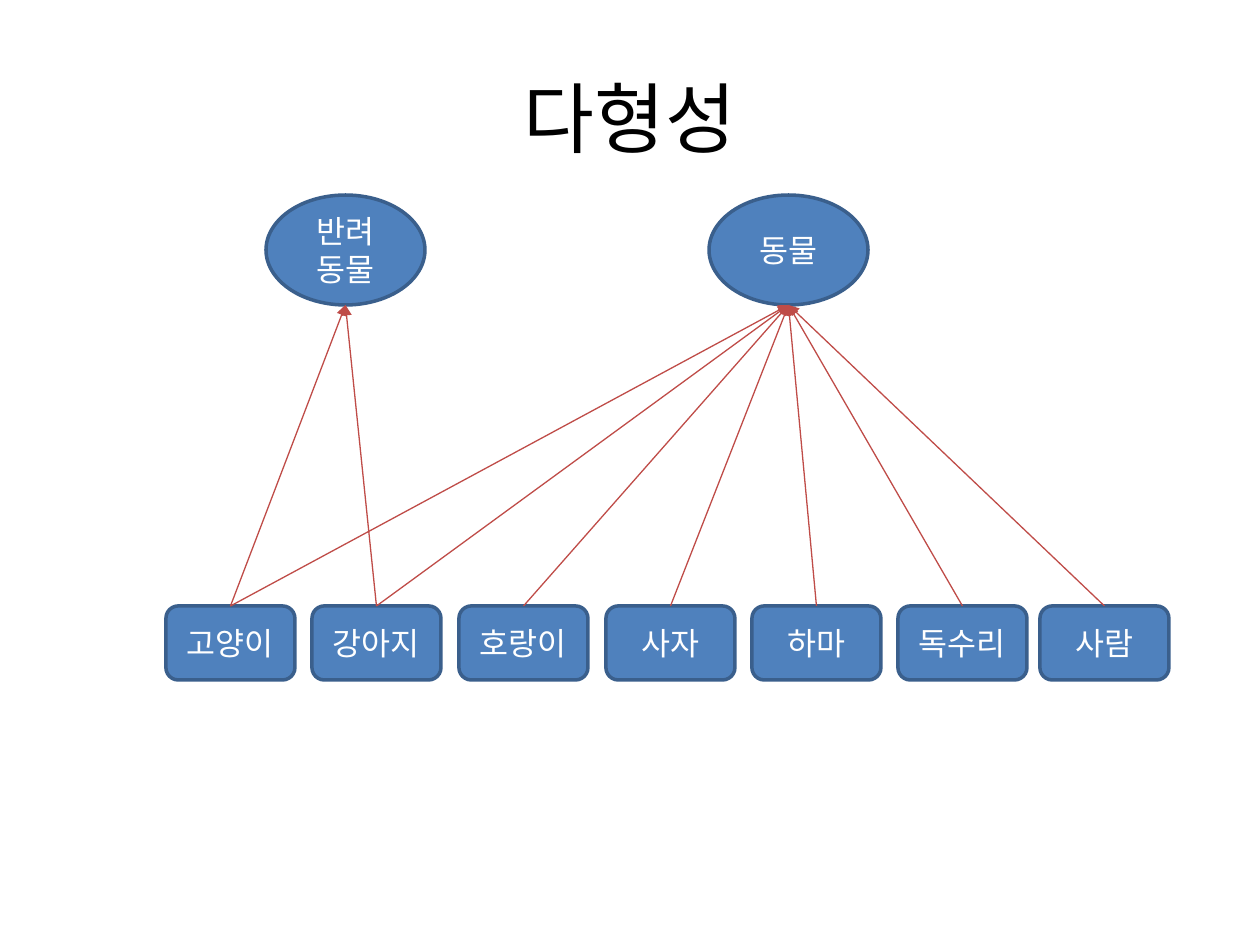
"""Build a slide on polymorphism: animals pointing to the types they belong to."""
from lxml import etree
from pptx import Presentation
from pptx.dml.color import RGBColor
from pptx.enum.shapes import MSO_CONNECTOR, MSO_SHAPE
from pptx.enum.text import MSO_ANCHOR, PP_ALIGN
from pptx.oxml.ns import qn
from pptx.util import Emu, Pt

STRAIGHT = MSO_CONNECTOR.STRAIGHT
ELLIPSE, ROUNDED = MSO_SHAPE.OVAL, MSO_SHAPE.ROUNDED_RECTANGLE
MIDDLE, CENTER = MSO_ANCHOR.MIDDLE, PP_ALIGN.CENTER

BLACK = RGBColor(0x00, 0x00, 0x00)
WHITE = RGBColor(0xFF, 0xFF, 0xFF)
BLUE = RGBColor(0x4F, 0x81, 0xBD)
DARK_BLUE = RGBColor(0x3A, 0x5F, 0x8C)
RED = RGBColor(0xBF, 0x4C, 0x48)
FONT = "Noto Sans CJK KR"

TITLE = "다형성"
PET, ANIMAL = "반려\n동물", "동물"
TYPE_LEFTS = {PET: 266, ANIMAL: 709}
MEMBERS = [
    ("고양이", 166, [PET, ANIMAL]),
    ("강아지", 312, [PET, ANIMAL]),
    ("호랑이", 459, [ANIMAL]),
    ("사자", 606, [ANIMAL]),
    ("하마", 752, [ANIMAL]),
    ("독수리", 898, [ANIMAL]),
    ("사람", 1040, [ANIMAL]),
]

TITLE_BOX = (63, 38, 1134, 158)
TYPE_TOP, TYPE_WIDTH, TYPE_HEIGHT = 195, 159, 110
MEMBER_TOP, MEMBER_WIDTH, MEMBER_HEIGHT = 606, 129, 74


def px(length):
    return Emu(round(length * 914400 / 126))


def write(shape, text, size=18, color=WHITE):
    frame = shape.text_frame
    frame.word_wrap = True
    frame.vertical_anchor = MIDDLE
    frame.text = text
    for paragraph in frame.paragraphs:
        paragraph.alignment = CENTER
        for run in paragraph.runs:
            run.font.size = Pt(size)
            run.font.color.rgb = color
            run.font.name = FONT
            east_asian = etree.SubElement(run.font._element, qn("a:ea"))
            east_asian.set("typeface", FONT)


def add_node(slide, geometry, text, *box):
    node = slide.shapes.add_shape(geometry, *map(px, box))
    node.shadow.inherit = False
    node.fill.solid()
    node.fill.fore_color.rgb = BLUE
    node.line.color.rgb = DARK_BLUE
    node.line.width = Pt(2)
    write(node, text)
    return node


def add_arrow(slide, member, kind):
    tip_x, tip_y = kind.left + kind.width // 2, kind.top + kind.height
    arrow = slide.shapes.add_connector(STRAIGHT, member.left, member.top, tip_x, tip_y)
    arrow.begin_connect(member, 0)
    arrow.line.color.rgb = RED
    arrow.line.width = Pt(0.75)
    head = etree.SubElement(arrow.line._get_or_add_ln(), qn("a:tailEnd"))
    head.set("type", "triangle")
    etree.SubElement(arrow._element.spPr, qn("a:effectLst"))


def main():
    deck = Presentation()
    deck.slide_width, deck.slide_height = px(1260), px(945)
    slide = deck.slides.add_slide(deck.slide_layouts[6])

    write(slide.shapes.add_textbox(*map(px, TITLE_BOX)), TITLE, size=44, color=BLACK)
    kinds = {
        name: add_node(slide, ELLIPSE, name, left, TYPE_TOP, TYPE_WIDTH, TYPE_HEIGHT)
        for name, left in TYPE_LEFTS.items()
    }
    for name, left, parents in MEMBERS:
        member = add_node(slide, ROUNDED, name, left, MEMBER_TOP, MEMBER_WIDTH, MEMBER_HEIGHT)
        for parent in parents:
            add_arrow(slide, member, kinds[parent])

    deck.save("out.pptx")


if __name__ == "__main__":
    main()
